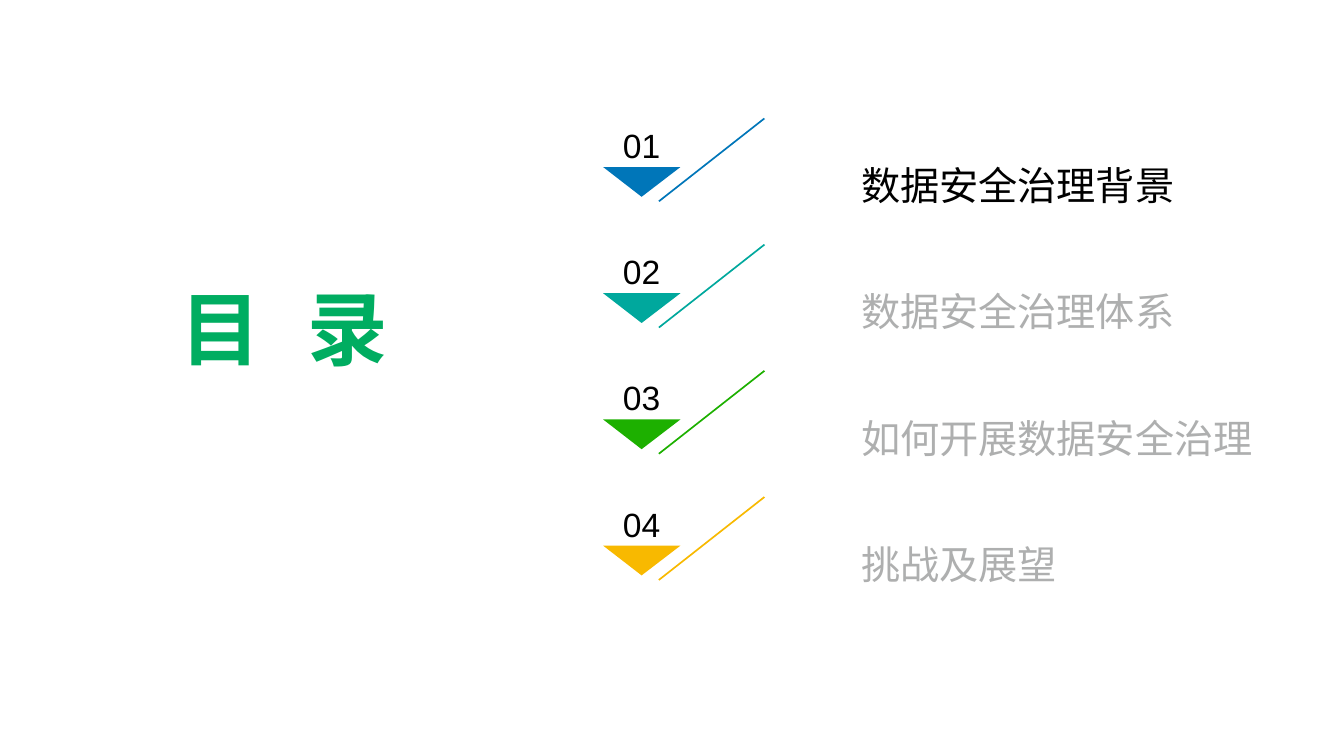
"""Build a contents slide with four numbered chapters."""
from lxml.etree import SubElement
from pptx import Presentation
from pptx.dml.color import RGBColor
from pptx.oxml.ns import qn
from pptx.util import Cm, Pt

COLORS = {
    "heading": "00AD61",
    "active": "000000",
    "muted": "AEAFAF",
    "blue": "0076B9",
    "teal": "00A89D",
    "green": "1DB000",
    "yellow": "F8B900",
}
CHAPTERS = [
    ("数据安全治理背景", "blue", "active"),
    ("数据安全治理体系", "teal", "muted"),
    ("如何开展数据安全治理", "green", "muted"),
    ("挑战及展望", "yellow", "muted"),
]
ROW_PITCH = 3.18
TRIANGLE = [(17.15, 4.21), (15.2, 4.21), (16.17, 4.96)]
SLASH = [(19.28, 3.0), (19.25, 2.97), (16.59, 5.06), (16.62, 5.09)]


def add_text(slide, text, left, top, width, height, size, color, font_name, bold=False, tab=None):
    box = slide.shapes.add_textbox(Cm(left), Cm(top), Cm(width), Cm(height))
    frame = box.text_frame
    frame.word_wrap = True
    frame.margin_left = frame.margin_right = frame.margin_bottom = 0
    frame.margin_top = Cm(0.03)
    paragraph = frame.paragraphs[0]
    paragraph.text = text
    paragraph.space_before = Pt(1)
    if tab:
        tab_list = SubElement(paragraph._p.get_or_add_pPr(), qn("a:tabLst"))
        SubElement(tab_list, qn("a:tab"), pos=str(Cm(tab)), algn="l")
    font = paragraph.font
    font.name = font_name
    font.size = Pt(size)
    font.bold = bold
    font.color.rgb = RGBColor.from_string(COLORS[color])
    SubElement(font._element, qn("a:ea"), typeface=font_name)


presentation = Presentation()
presentation.slide_width = Cm(33.87)
presentation.slide_height = Cm(19.05)
slide = presentation.slides.add_slide(presentation.slide_layouts[6])

add_text(slide, "目\t录", 4.54, 6.99, 5.6, 2.51, 57.5, "heading", "Noto Sans CJK SC", bold=True, tab=3.2)

for row, (chapter, marker_color, text_color) in enumerate(CHAPTERS):
    offset = row * ROW_PITCH
    triangle, slash = (
        [(Cm(x), Cm(y + offset)) for x, y in outline] for outline in (TRIANGLE, SLASH)
    )
    builder = slide.shapes.build_freeform(*triangle[0])
    builder.add_line_segments(triangle[1:])
    builder.move_to(*slash[0])
    builder.add_line_segments(slash[1:])
    marker = builder.convert_to_shape()
    marker.shadow.inherit = False
    marker.fill.solid()
    marker.fill.fore_color.rgb = RGBColor.from_string(COLORS[marker_color])
    marker.line.fill.background()

    add_text(slide, f"{row + 1:02}", 15.7, 3.12 + offset, 1.2, 1.09, 24, "active", "Arial")
    add_text(slide, chapter, 21.7, 4.04 + offset, 10.4, 1.24, 28, text_color, "Noto Sans CJK SC")

presentation.save("out.pptx")
